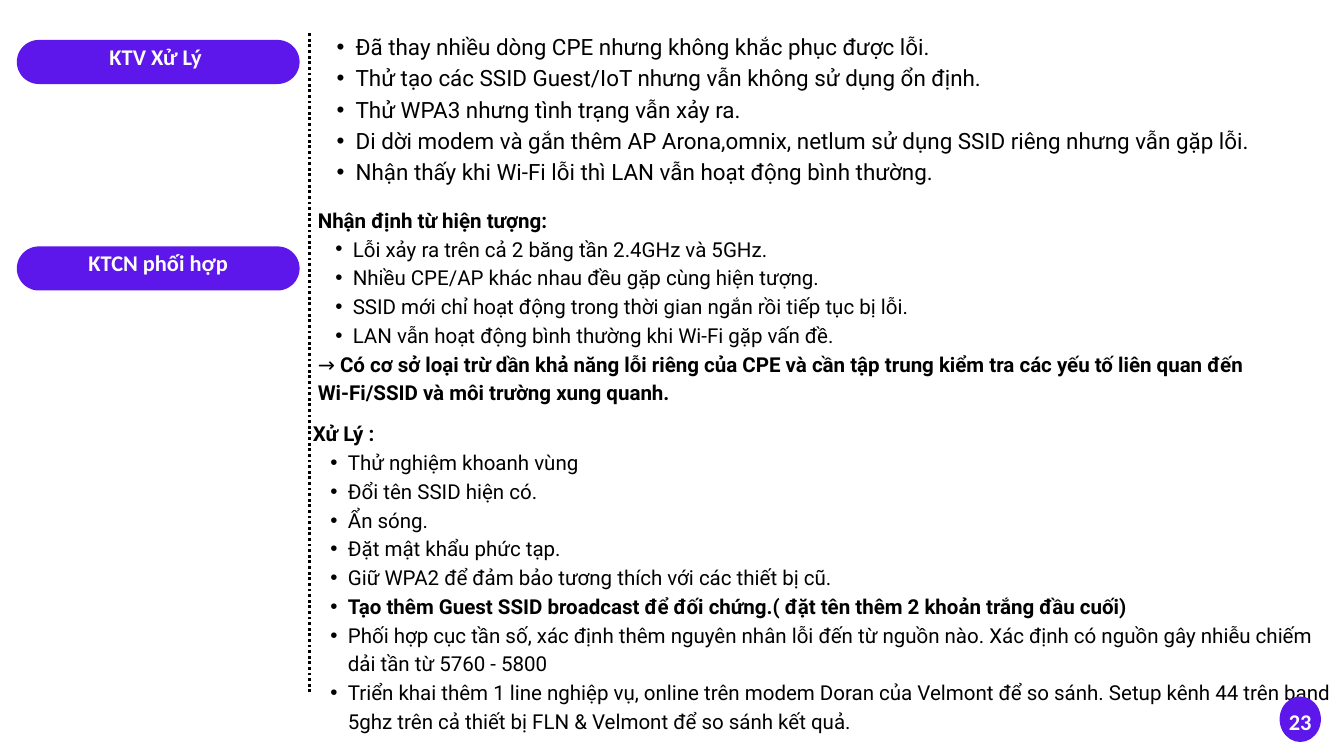
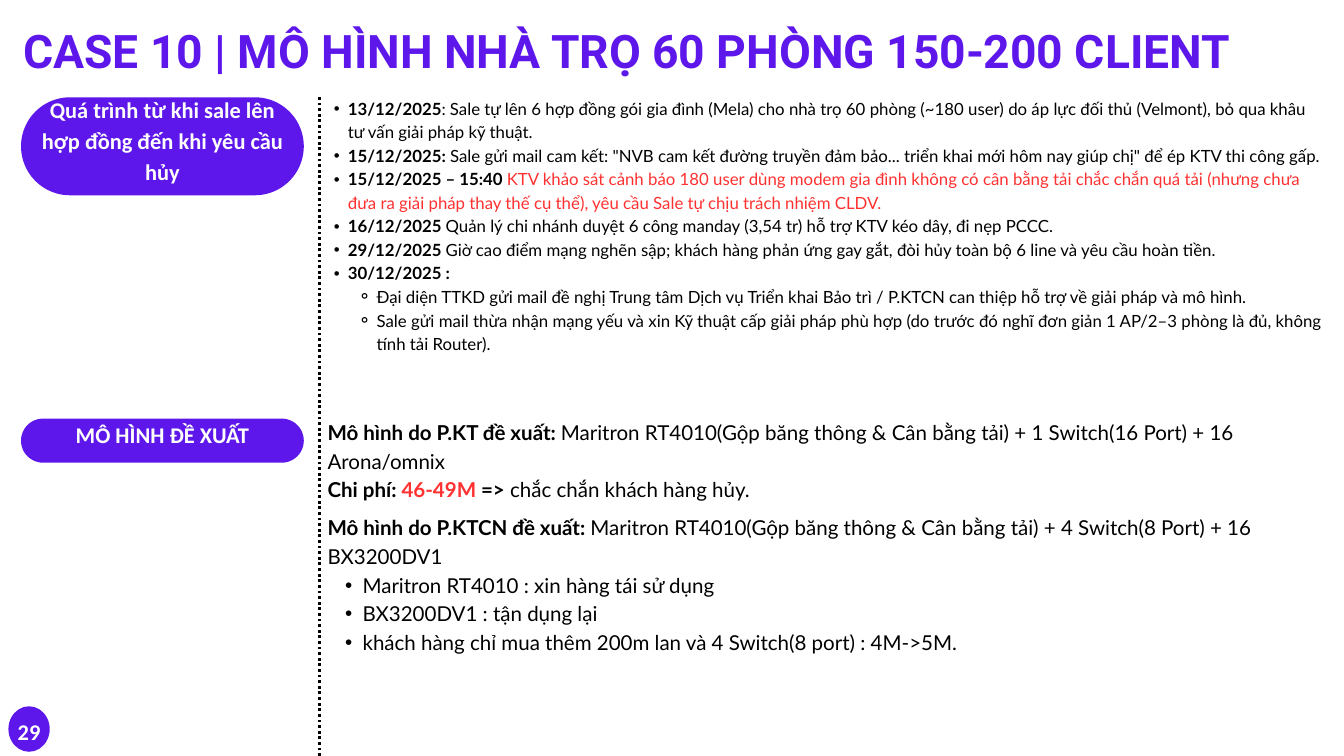
from dataclasses import dataclass

from lxml import etree
from pptx import Presentation
from pptx.dml.color import RGBColor
from pptx.enum.dml import MSO_LINE
from pptx.enum.shapes import MSO_CONNECTOR, MSO_SHAPE
from pptx.enum.text import MSO_ANCHOR, MSO_AUTO_SIZE, PP_ALIGN
from pptx.oxml.ns import qn
from pptx.util import Emu, Pt

PILL, OVAL = MSO_SHAPE.ROUNDED_RECTANGLE, MSO_SHAPE.OVAL
STRAIGHT, DOTTED = MSO_CONNECTOR.STRAIGHT, MSO_LINE.ROUND_DOT
TOP, MIDDLE = MSO_ANCHOR.TOP, MSO_ANCHOR.MIDDLE
LEFT, CENTER = PP_ALIGN.LEFT, PP_ALIGN.CENTER
NO_FIT = MSO_AUTO_SIZE.NONE
COMPARISON_LAYOUT = 4
SCALE = 9525


@dataclass(frozen=True)
class Theme:
    """Colours, fonts, type sizes and spacing shared by the slides."""
    accent: str = "5E17EB"
    ink: str = "000000"
    alert: str = "FF3131"
    label_ink: str = "FDFDFD"
    white: str = "FFFFFF"
    label_font: str = "Calibri"
    case_font: str = "Roboto"
    model_font: str = "Lato"
    title: float = 49.5
    large: int = 24
    medium: int = 22
    small: int = 18
    leading: float = 1.4
    indent: float = 2.27


T = Theme()
STYLES = {
    "plain": {"bold": False, "color": T.ink},
    "bold": {"bold": True, "color": T.ink},
    "alert": {"bold": False, "color": T.alert},
    "bold alert": {"bold": True, "color": T.alert},
}
BULLETS = {1: "•", 2: "⚬"}

FIELD_WORK = [
    (1, "Đã thay nhiều dòng CPE nhưng không khắc phục được lỗi."),
    (1, "Thử tạo các SSID Guest/IoT nhưng vẫn không sử dụng ổn định."),
    (1, "Thử WPA3 nhưng tình trạng vẫn xảy ra."),
    (1, "Di dời modem và gắn thêm AP Arona,omnix, netlum sử dụng SSID riêng nhưng vẫn gặp lỗi."),
    (1, "Nhận thấy khi Wi-Fi lỗi thì LAN vẫn hoạt động bình thường."),
]
FINDINGS = [
    (0, ("Nhận định từ hiện tượng:", "bold")),
    (1, "Lỗi xảy ra trên cả 2 băng tần 2.4GHz và 5GHz."),
    (1, "Nhiều CPE/AP khác nhau đều gặp cùng hiện tượng."),
    (1, "SSID mới chỉ hoạt động trong thời gian ngắn rồi tiếp tục bị lỗi."),
    (1, "LAN vẫn hoạt động bình thường khi Wi-Fi gặp vấn đề."),
    (0, "→ ", ("Có cơ sở loại trừ dần khả năng lỗi riêng của CPE và cần tập trung kiểm tra "
               "các yếu tố liên quan đến Wi-Fi/SSID và môi trường xung quanh.", "bold")),
]
ACTIONS = [
    (0, ("Xử Lý :", "bold")),
    (1, "Thử nghiệm khoanh vùng"),
    (1, "Đổi tên SSID hiện có."),
    (1, "Ẩn sóng."),
    (1, "Đặt mật khẩu phức tạp."),
    (1, "Giữ WPA2 để đảm bảo tương thích với các thiết bị cũ."),
    (1, ("Tạo thêm Guest SSID broadcast để đối chứng.( đặt tên thêm 2 khoản trắng đầu cuối)",
         "bold")),
    (1, "Phối hợp cục tần số, xác định thêm nguyên nhân lỗi đến từ nguồn nào. "
        "Xác định có nguồn gây nhiễu chiếm dải tần từ 5760 - 5800"),
    (1, "Triển khai thêm 1 line nghiệp vụ, online trên modem Doran của Velmont để so sánh. "
        "Setup kênh 44 trên band 5ghz trên cả thiết bị FLN & Velmont để so sánh kết quả."),
]
TIMELINE = [
    (1, ("13/12/2025", "bold"),
     ": Sale tự lên 6 hợp đồng gói gia đình (Mela) cho nhà trọ 60 phòng (~180 user) "
     "do áp lực đối thủ (Velmont), bỏ qua khâu tư vấn giải pháp kỹ thuật."),
    (1, ("15/12/2025:", "bold"),
     " Sale gửi mail cam kết: \"NVB cam kết đường truyền đảm bảo... "
     "triển khai mới hôm nay giúp chị\" để ép KTV thi công gấp."),
    (1, ("15/12/2025 – 15:40 ", "bold"),
     ("KTV khảo sát cảnh báo 180 user dùng modem gia đình không có cân bằng tải chắc chắn quá tải "
      "(nhưng chưa đưa ra giải pháp thay thế cụ thể), yêu cầu Sale tự chịu trách nhiệm CLDV.",
      "alert")),
    (1, ("16/12/2025 ", "bold"),
     "Quản lý chi nhánh duyệt 6 công manday (3,54 tr) hỗ trợ KTV kéo dây, đi nẹp PCCC."),
    (1, ("29/12/2025 ", "bold"),
     "Giờ cao điểm mạng nghẽn sập; khách hàng phản ứng gay gắt, "
     "đòi hủy toàn bộ 6 line và yêu cầu hoàn tiền."),
    (1, ("30/12/2025 :", "bold")),
    (2, "Đại diện TTKD gửi mail đề nghị Trung tâm Dịch vụ Triển khai Bảo trì / P.KTCN "
        "can thiệp hỗ trợ về giải pháp và mô hình."),
    (2, "Sale gửi mail thừa nhận mạng yếu và xin Kỹ thuật cấp giải pháp phù hợp "
        "(do trước đó nghĩ đơn giản 1 AP/2–3 phòng là đủ, không tính tải Router)."),
]
FIRST_MODEL = [
    (0, ("Mô hình do P.KT đề xuất: ", "bold"),
     "Maritron RT4010(Gộp băng thông & Cân bằng tải) + 1 Switch(16 Port) + 16 Arona/omnix"),
    (0, ("Chi phí: ", "bold"), ("46-49M", "bold alert"), (" =>", "bold"),
     " chắc chắn khách hàng hủy."),
]
SECOND_MODEL = [
    (0, ("Mô hình do P.KTCN đề xuất: ", "bold"),
     "Maritron RT4010(Gộp băng thông & Cân bằng tải) + 4 Switch(8 Port) + 16 BX3200DV1"),
    (1, "Maritron RT4010 : xin hàng tái sử dụng"),
    (1, "BX3200DV1 : tận dụng lại"),
    (1, "khách hàng chỉ mua thêm 200m lan và 4 Switch(8 port) : 4M->5M."),
]


def px(*lengths):
    """Turn pixel lengths into EMU."""
    return [Emu(n * SCALE) for n in lengths]


def assign(obj, values):
    """Set attributes from a dict."""
    for name, value in values.items():
        setattr(obj, name, value)


def setup_frame(shape, anchor=TOP, insets=(0, 0, 0, 0), wrap=True):
    """Prepare a text frame and return it."""
    tf = shape.text_frame
    left, top, right, bottom = px(*insets)
    assign(tf, {"auto_size": NO_FIT, "word_wrap": wrap, "vertical_anchor": anchor,
                "margin_left": left, "margin_top": top,
                "margin_right": right, "margin_bottom": bottom})
    return tf


def set_paragraph(p, size, align=LEFT):
    """Give a paragraph its alignment and exact line spacing."""
    assign(p, {"alignment": align, "line_spacing": Pt(round(size * T.leading, 1)),
               "space_before": Pt(0), "space_after": Pt(0)})


def add_run(p, text, font, size, color, bold=True):
    """Add one formatted run."""
    r = p.add_run()
    r.text = text
    assign(r.font, {"name": font, "size": Pt(size), "bold": bold})
    r.font.color.rgb = RGBColor.from_string(color)


def set_bullet(p, level, size):
    """Set the level, indents and bullet of a paragraph."""
    p.level = level
    step = size * T.indent
    hanging = step / 2 if level == 1 else step * 2 / 3
    left, indent = (px(round(step * level), -round(hanging)) if level else (0, 0))
    pPr = p._p.get_or_add_pPr()
    pPr.set("marL", str(left))
    pPr.set("indent", str(indent))
    if level:
        etree.SubElement(pPr, qn("a:buChar")).set("char", BULLETS[level])
    else:
        etree.SubElement(pPr, qn("a:buNone"))


def place(shape, box):
    """Move and size a shape."""
    assign(shape, dict(zip(("left", "top", "width", "height"), px(*box))))


def fill_list(s, idx, box, items, font, size):
    """Write a list into a body placeholder."""
    sp = s.placeholders[idx]
    place(sp, box)
    tf = setup_frame(sp)
    for i, (level, *runs) in enumerate(items):
        p = tf.add_paragraph() if i else tf.paragraphs[0]
        set_paragraph(p, size)
        set_bullet(p, level, size)
        for run in runs:
            text, style = (run, "plain") if isinstance(run, str) else run
            add_run(p, text, font, size, **STYLES[style])


def set_title(s, text):
    """Write the slide title."""
    sp = s.shapes.title
    place(sp, (33, 18, 1857, 90))
    p = setup_frame(sp).paragraphs[0]
    set_paragraph(p, T.title)
    add_run(p, text, T.case_font, T.title, T.accent)


def add_filled(s, kind, box, text, color, **frame):
    """Add an accent shape with a centred bold label."""
    sp = s.shapes.add_shape(kind, *px(*box))
    sp.shadow.inherit = False
    sp.fill.solid()
    sp.fill.fore_color.rgb = RGBColor.from_string(T.accent)
    sp.line.fill.background()
    p = setup_frame(sp, MIDDLE, **frame).paragraphs[0]
    set_paragraph(p, T.large, CENTER)
    add_run(p, text, T.label_font, T.large, color)
    return sp


def add_pill(s, x, y, text, h=63):
    """Add a section label with fully rounded ends."""
    sp = add_filled(s, PILL, (x, y, 404, h), text, T.label_ink, insets=(0, 0, 0, 23))
    sp.adjustments[0] = 0.5


def add_page_number(s, x, y, number):
    """Add the round page number."""
    add_filled(s, OVAL, (x, y, 59, 65), number, T.white, wrap=False)


def add_divider(s, x, top, bottom):
    """Add the dotted vertical divider."""
    line = s.shapes.add_connector(STRAIGHT, *px(x, bottom, x, top))
    line.line.color.rgb = RGBColor.from_string(T.ink)
    assign(line.line, {"width": Pt(3), "dash_style": DOTTED})
    etree.SubElement(line._element.spPr, qn("a:effectLst"))


def remove_empty(s):
    """Remove placeholders that hold no text."""
    for sp in list(s.placeholders):
        if not sp.text_frame.text:
            sp._element.getparent().remove(sp._element)


def build_handling(s):
    """Build the slide on technicians' handling of the case."""
    add_divider(s, 442, 45, 989)
    add_pill(s, 24, 57, "KTV Xử Lý ")
    add_pill(s, 24, 352, "KTCN phối hợp")
    fill_list(s, 1, (454, 41, 1377, 218), FIELD_WORK, T.case_font, T.large)
    fill_list(s, 2, (454, 291, 1450, 285), FINDINGS, T.case_font, T.medium)
    fill_list(s, 3, (447, 596, 1464, 449), ACTIONS, T.case_font, T.medium)
    add_page_number(s, 1828, 995, "23")


def build_case(s):
    """Build the slide on the boarding house case."""
    set_title(s, "CASE 10 | MÔ HÌNH NHÀ TRỌ 60 PHÒNG 150-200 CLIENT")
    add_divider(s, 456, 139, 1080)
    add_pill(s, 30, 139, "Quá trình từ khi sale lên hợp đồng đến khi yêu cầu hủy", 140)
    add_pill(s, 30, 598, "MÔ HÌNH ĐỀ XUẤT")
    fill_list(s, 1, (456, 136, 1433, 395), TIMELINE, T.model_font, T.small)
    fill_list(s, 2, (468, 594, 1420, 121), FIRST_MODEL, T.model_font, T.medium)
    fill_list(s, 3, (468, 730, 1420, 204), SECOND_MODEL, T.model_font, T.medium)
    add_page_number(s, 12, 1009, "29")


def main():
    """Build and save the presentation."""
    prs = Presentation()
    prs.slide_width, prs.slide_height = px(1920, 1080)
    for build in (build_handling, build_case):
        s = prs.slides.add_slide(prs.slide_layouts[COMPARISON_LAYOUT])
        build(s)
        remove_empty(s)
    prs.save("out.pptx")


if __name__ == "__main__":
    main()
